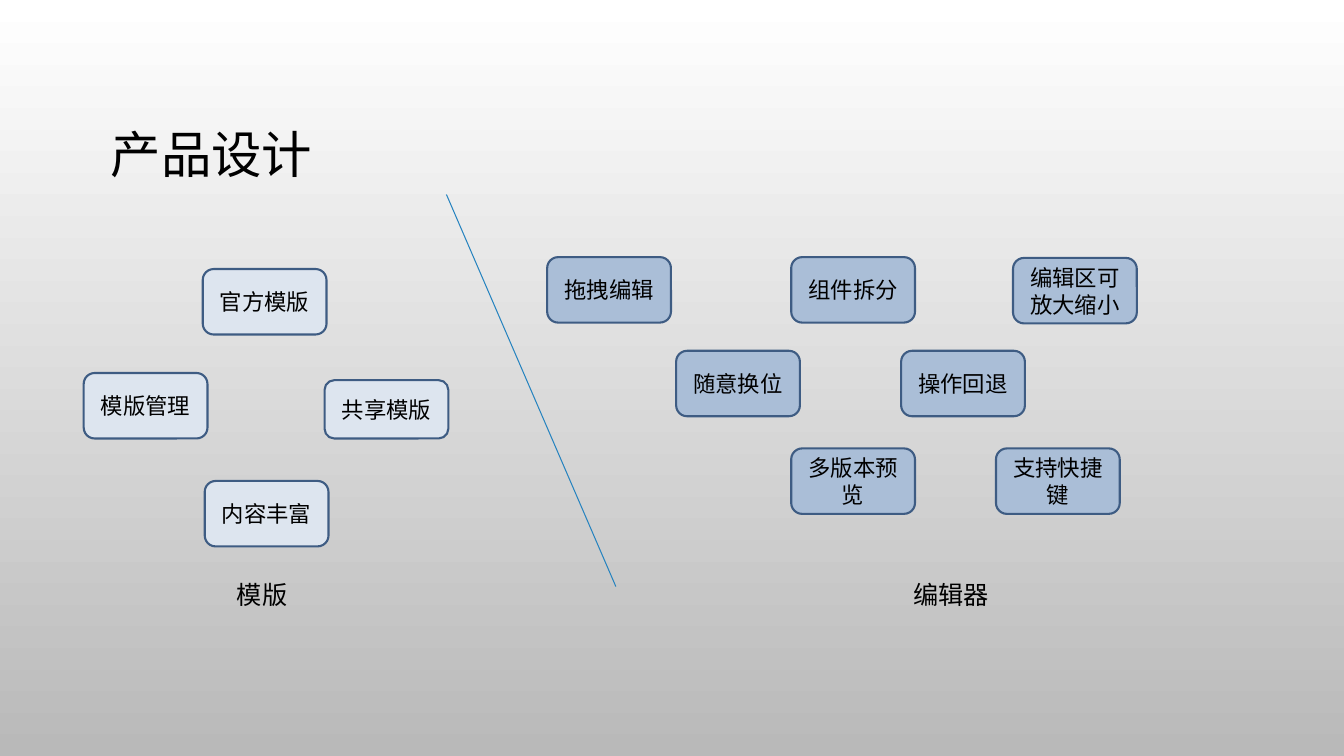
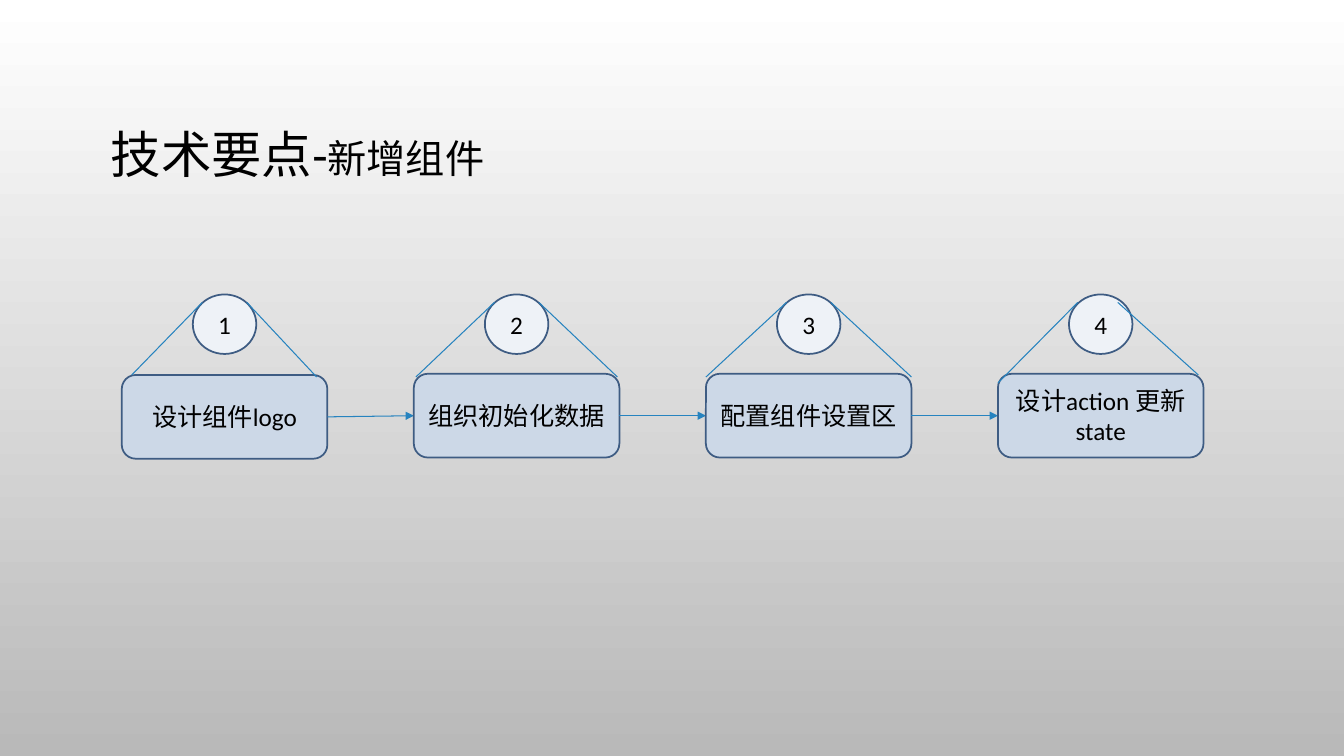
import pptx
import pptx.util
import pptx.dml.color
import pptx.enum.shapes
import pptx.enum.text
import pptx.oxml
import pptx.oxml.ns
from pptx.util import Cm

COLORS = {
    "text": "000000",
    "bg_top": "FFFFFF",
    "bg_bottom": "B9B9B9",
    "outline": "3E5C83",
    "connector": "2683BF",
    "template": "DDE5EF",
    "editor": "AABED7",
    "step": "CCD8E7",
    "badge": "EEF2F7",
}
FONT = "Calibri"
SHAPES = pptx.enum.shapes.MSO_SHAPE
CENTER = pptx.enum.text.PP_ALIGN.CENTER
MIDDLE = pptx.enum.text.MSO_ANCHOR.MIDDLE

DESIGN_TITLE = [("产品设计", 36)]
FEATURE_W, FEATURE_H = 3.12, 1.65
FEATURES = {
    "template": [
        ("官方模版", 5.11, 6.78, FEATURE_H),
        ("共享模版", 8.18, 9.58, 1.47),
        ("模版管理", 2.11, 9.4, FEATURE_H),
        ("内容丰富", 5.16, 12.12, FEATURE_H),
    ],
    "editor": [
        ("拖拽编辑", 13.79, 6.48, FEATURE_H),
        ("组件拆分", 19.94, 6.48, FEATURE_H),
        ("编辑区可放大缩小", 25.53, 6.5, FEATURE_H),
        ("随意换位", 17.04, 8.84, FEATURE_H),
        ("操作回退", 22.71, 8.84, FEATURE_H),
        ("多版本预览", 19.94, 11.3, FEATURE_H),
        ("支持快捷键", 25.1, 11.3, FEATURE_H),
    ],
}
CAPTIONS = [("模版", 5.72, 1.93), ("编辑器", 22.76, 2.79)]
CAPTION_Y, CAPTION_H = 14.48, 1.02
DIVIDER = (11.25, 4.9, 15.52, 14.78)

STEPS_TITLE = [("技术要点-", 36), ("新增组件", 28)]
STEP_X, STEP_PITCH, STEP_W, STEP_H = 3.07, 7.36, 5.18, 2.11
BADGE_Y, BADGE_W, BADGE_H = 7.42, 1.6, 1.5
ROOF_Y = 7.62
STEPS = [
    ("设计组件logo", 9.45, [(-0.56, -2.34, 9.45), (0.56, 2.32, 9.5)]),
    ("组织初始化数据", 9.42, [(-0.56, -2.54, 9.5), (0.56, 2.54, 9.5)]),
    ("配置组件设置区", 9.42, [(-0.56, -2.59, 9.5), (0.56, 2.59, 9.5)]),
    ("设计action 更新state", 9.42, [(-0.58, -2.59, 9.65), (0.43, 2.46, 9.45)]),
]


def rgb(name):
    return pptx.dml.color.RGBColor.from_string(COLORS[name])


def set_font(font, size):
    font.name = FONT
    font.size = pptx.util.Pt(size)
    font.color.rgb = rgb("text")


def add_text(s, runs, x, y, w, h):
    tb = s.shapes.add_textbox(Cm(x), Cm(y), Cm(w), Cm(h))
    tf = tb.text_frame
    tf.word_wrap = True
    p = tf.paragraphs[0]
    set_font(p.font, runs[0][1])
    for text, size in runs:
        r = p.add_run()
        r.text = text
        set_font(r.font, size)
    return tf


def add_node(s, kind, text, x, y, w, h, fill, size, weight):
    sp = s.shapes.add_shape(kind, Cm(x), Cm(y), Cm(w), Cm(h))
    sp.shadow.inherit = False
    sp.fill.solid()
    sp.fill.fore_color.rgb = rgb(fill)
    sp.line.color.rgb = rgb("outline")
    sp.line.width = pptx.util.Pt(weight)
    tf = sp.text_frame
    tf.word_wrap = True
    tf.vertical_anchor = MIDDLE
    p = tf.paragraphs[0]
    p.text = text
    p.alignment = CENTER
    set_font(p.font, size)


def add_line(s, x1, y1, x2, y2, arrow=False):
    line = s.shapes.add_connector(
        pptx.enum.shapes.MSO_CONNECTOR.STRAIGHT, Cm(x1), Cm(y1), Cm(x2), Cm(y2))
    line.line.color.rgb = rgb("connector")
    line.line.width = pptx.util.Pt(0.75)
    qn = pptx.oxml.ns.qn
    sp_pr = line._element.spPr
    if arrow:
        tail = sp_pr.find(qn("a:ln")).makeelement(qn("a:tailEnd"), {"type": "triangle"})
        sp_pr.find(qn("a:ln")).append(tail)
    sp_pr.append(sp_pr.makeelement(qn("a:effectLst"), {}))


def set_background(prs):
    fill = prs.slide_master.background.fill
    fill.gradient()
    fill.gradient_angle = 270
    for stop, name in zip(fill.gradient_stops, ("bg_top", "bg_bottom")):
        stop.color.rgb = rgb(name)


def new_slide(prs, title):
    s = prs.slides.add_slide(prs.slide_layouts[6])
    tf = add_text(s, title, 2.54, 1.73, 28.78, 4.45)
    tf.vertical_anchor = MIDDLE
    tf.paragraphs[0].line_spacing = 0.9
    return s


def build_design(prs):
    s = new_slide(prs, DESIGN_TITLE)
    for group, features in FEATURES.items():
        for text, x, y, h in features:
            add_node(s, SHAPES.ROUNDED_RECTANGLE, text, x, y, FEATURE_W, h, group, 16, 1.5)
    add_line(s, *DIVIDER)
    for text, x, w in CAPTIONS:
        add_text(s, [(text, 18)], x, CAPTION_Y, w, CAPTION_H)


def build_steps(prs):
    s = new_slide(prs, STEPS_TITLE)
    for i, (text, top, roof) in enumerate(STEPS):
        x = STEP_X + i * STEP_PITCH
        center = x + STEP_W / 2
        add_node(s, SHAPES.ROUNDED_RECTANGLE, text, x, top, STEP_W, STEP_H, "step", 18, 1.25)
        add_node(s, SHAPES.FLOWCHART_CONNECTOR, str(i + 1), center - BADGE_W / 2, BADGE_Y,
                 BADGE_W, BADGE_H, "badge", 18, 1.25)
        for start, end, end_y in roof:
            add_line(s, center + start, ROOF_Y, center + end, end_y)
        if i + 1 < len(STEPS):
            add_line(s, x + STEP_W, top + STEP_H / 2,
                     x + STEP_PITCH, STEPS[i + 1][1] + STEP_H / 2, arrow=True)


def main():
    prs = pptx.Presentation()
    prs.slide_width, prs.slide_height = Cm(33.87), Cm(19.05)
    set_background(prs)
    build_design(prs)
    build_steps(prs)
    prs.save("out.pptx")


if __name__ == "__main__":
    main()
